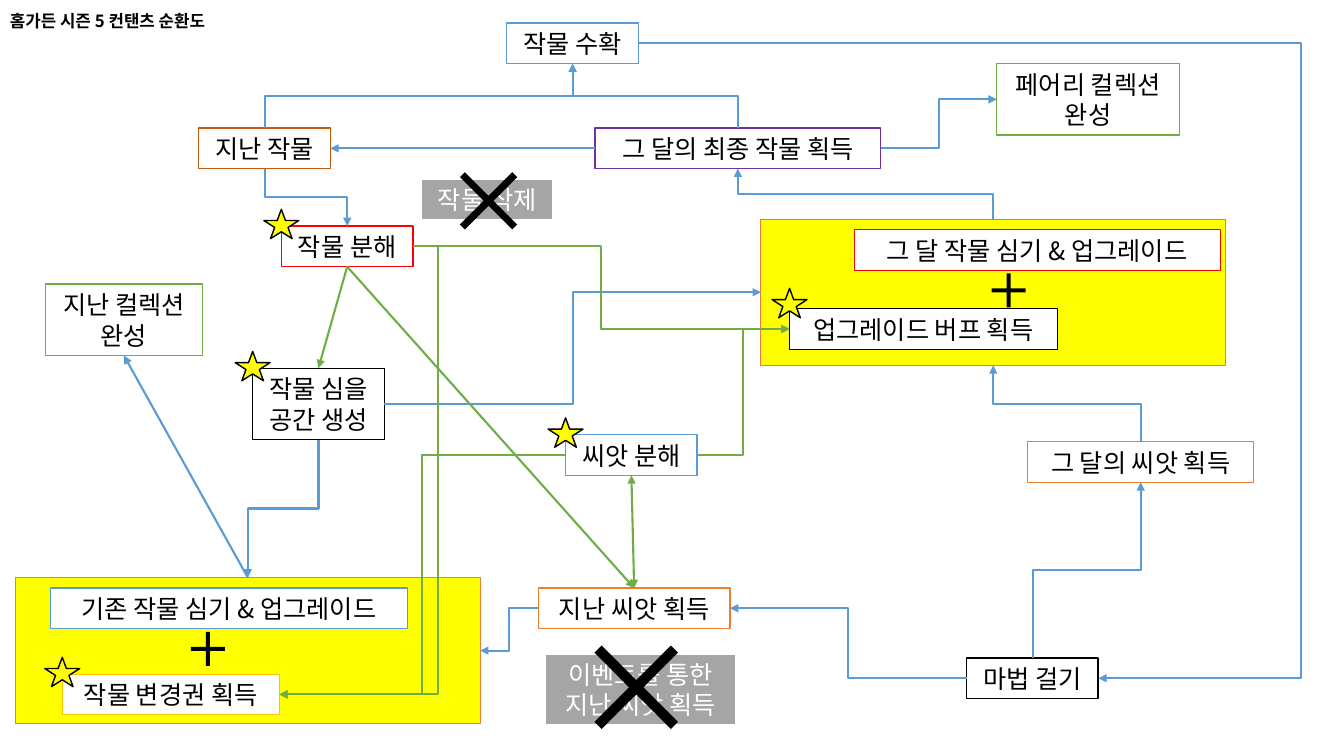
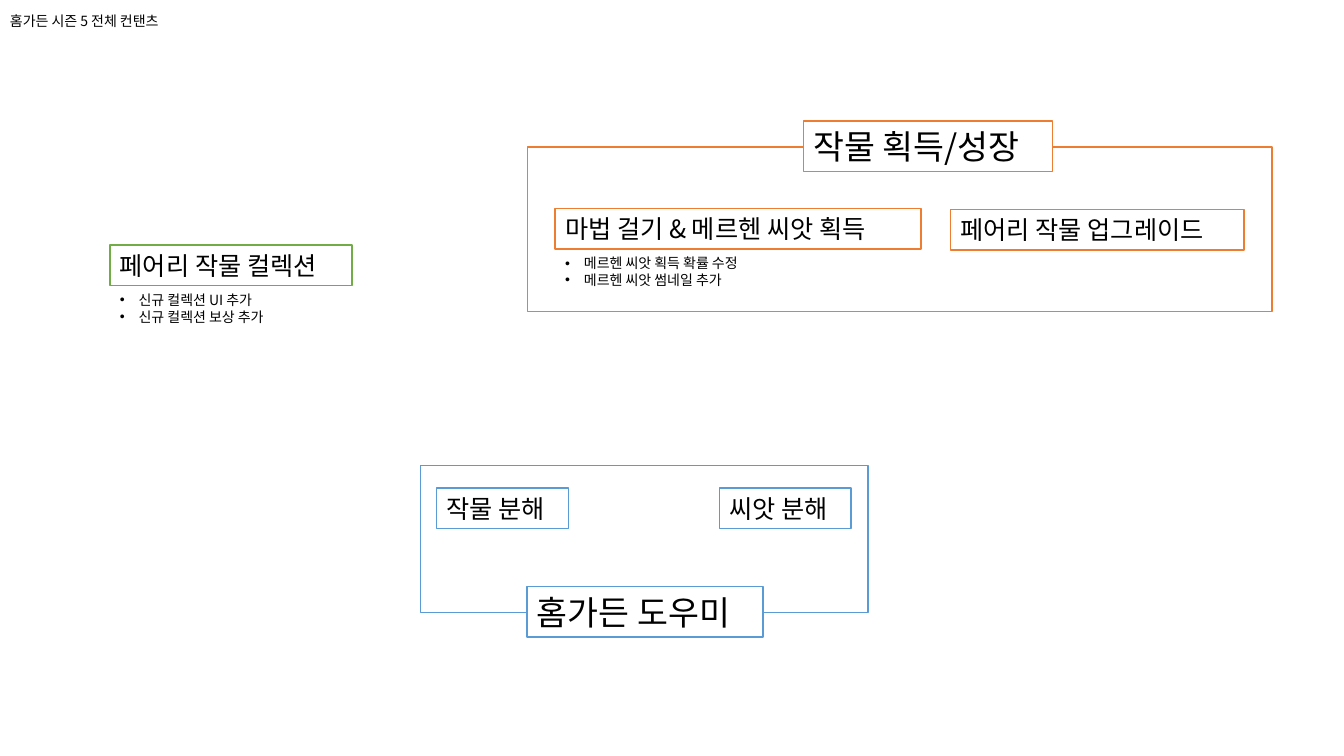
from lxml.etree import SubElement
from pptx import Presentation
from pptx.dml.color import RGBColor
from pptx.enum.shapes import MSO_CONNECTOR, MSO_SHAPE
from pptx.enum.text import MSO_ANCHOR, PP_ALIGN
from pptx.oxml.ns import qn
from pptx.util import Pt

FONT = "Noto Sans CJK KR"
BLACK = RGBColor(0x00, 0x00, 0x00)
WHITE = RGBColor(0xFF, 0xFF, 0xFF)
GREY = RGBColor(0xA5, 0xA5, 0xA5)
YELLOW = RGBColor(0xFF, 0xFF, 0x00)
GOLD = RGBColor(0xFF, 0xC0, 0x00)
ORANGE = RGBColor(0xED, 0x7D, 0x31)
BROWN = RGBColor(0xC5, 0x5A, 0x11)
RED = RGBColor(0xFF, 0x00, 0x00)
PURPLE = RGBColor(0x70, 0x30, 0xA0)
BLUE = RGBColor(0x5B, 0x9B, 0xD5)
GREEN = RGBColor(0x70, 0xAD, 0x47)

# Connection sites of a rectangle
TOP, LEFT, BOTTOM, RIGHT = range(4)

ONE_LINE, TWO_LINES, HEADING = 29, 51, 36
GARDEN_SIZE = (332, 104.5)


def style_text(frame, size, color=BLACK, bold=False, align=PP_ALIGN.LEFT):
    for paragraph in frame.paragraphs:
        paragraph.alignment = align
        for run in paragraph.runs:
            run.font.name = FONT
            run.font.size = Pt(size)
            run.font.bold = bold
            run.font.color.rgb = color
            SubElement(run.font._element, qn("a:ea")).set("typeface", FONT)


def add_title(slide, text, size, bold=False):
    title = slide.shapes.add_textbox(Pt(0), Pt(0), Pt(960), Pt(31))
    frame = title.text_frame
    frame.word_wrap = True
    frame.vertical_anchor = MSO_ANCHOR.MIDDLE
    frame.text = text
    frame.paragraphs[0].line_spacing = 0.9
    style_text(frame, size, bold=bold)


def add_figure(slide, preset, left, top, width, height,
               fill=None, line=None, line_width=1):
    """Add a preset shape; without a colour, its fill or line is left off."""
    figure = slide.shapes.add_shape(
        preset, Pt(left), Pt(top), Pt(width), Pt(height))
    figure.shadow.inherit = False
    if fill is None:
        figure.fill.background()
    else:
        figure.fill.solid()
        figure.fill.fore_color.rgb = fill
    if line is None:
        figure.line.fill.background()
    else:
        figure.line.color.rgb = line
        figure.line.width = Pt(line_width)
    return figure


def add_box(slide, text, left, top, width, line, line_width=1, fill=WHITE,
            color=BLACK, size=18, height=None, align=PP_ALIGN.CENTER):
    if height is None:
        height = TWO_LINES if "\n" in text else ONE_LINE
    box = add_figure(slide, MSO_SHAPE.RECTANGLE, left, top, width, height,
                     fill, line, line_width)
    frame = box.text_frame
    frame.text = text
    frame.vertical_anchor = MSO_ANCHOR.MIDDLE
    frame.margin_top = frame.margin_bottom = 0
    frame.word_wrap = align == PP_ALIGN.LEFT
    if align == PP_ALIGN.LEFT:
        frame.margin_right = 0
    style_text(frame, size, color, align=align)
    return box


def add_starred_box(slide, text, left, top, width, line, line_width=1, rise=12):
    """Add a box for new content, marked by a star on its top left corner."""
    box = add_box(slide, text, left, top, width, line, line_width)
    add_figure(slide, MSO_SHAPE.STAR_5_POINT, left - 12.5, top - rise, 25, 21,
               YELLOW, BLACK)
    return box


def add_sign(slide, preset, left, top, size, thickness):
    sign = add_figure(slide, preset, left, top, size, size, BLACK)
    sign.adjustments[0] = thickness


def add_removed_box(slide, text, left, top, width, cross):
    """Add a grey box crossed out by a sign at cross = (left, top, size)."""
    add_box(slide, text, left, top, width, WHITE, 1.5, GREY, WHITE)
    add_sign(slide, MSO_SHAPE.MATH_MULTIPLY, *cross, 0.069)


def add_garden(slide, left, top):
    return add_figure(slide, MSO_SHAPE.RECTANGLE, left, top, *GARDEN_SIZE,
                      YELLOW, ORANGE, 0.5)


def turn_upright(connector):
    """Turn an elbow so that it leaves its start vertically."""
    dx = connector.end_x - connector.begin_x
    dy = connector.end_y - connector.begin_y
    center_x = (connector.begin_x + connector.end_x) // 2
    center_y = (connector.begin_y + connector.end_y) // 2
    connector.width, connector.height = abs(dy), abs(dx)
    connector.left = center_x - abs(dy) // 2
    connector.top = center_y - abs(dx) // 2
    xfrm = connector._element.spPr.find(qn("a:xfrm"))
    xfrm.set("rot", str((270 if dx * dy > 0 else 90) * 60000))
    xfrm.set("flipH", str(int(dx > 0)))
    xfrm.set("flipV", str(int(dy < 0)))


def add_link(slide, start, start_site, end, end_site, color=BLUE,
             straight=False, both_ends=False, bend=None):
    kind = MSO_CONNECTOR.STRAIGHT if straight else MSO_CONNECTOR.ELBOW
    link = slide.shapes.add_connector(kind, 0, 0, 0, 0)
    link.begin_connect(start, start_site)
    link.end_connect(end, end_site)
    if not straight and start_site in (TOP, BOTTOM):
        turn_upright(link)
    properties = link._element.spPr
    if bend is not None:
        guides = properties.find(qn("a:prstGeom")).find(qn("a:avLst"))
        guide = SubElement(guides, qn("a:gd"))
        guide.set("name", "adj1")
        guide.set("fmla", f"val {round(bend * 100000)}")
    link.line.color.rgb = color
    link.line.width = Pt(1.5)
    outline = properties.find(qn("a:ln"))
    for arrow in ("a:headEnd", "a:tailEnd") if both_ends else ("a:tailEnd",):
        SubElement(outline, qn(arrow)).set("type", "triangle")
    SubElement(properties, qn("a:effectLst"))


def add_bullets(slide, text, left, top, width):
    bullets = slide.shapes.add_textbox(Pt(left), Pt(top), Pt(width), Pt(31.5))
    frame = bullets.text_frame
    frame.word_wrap = True
    frame.text = text
    for paragraph in frame.paragraphs:
        properties = paragraph._p.get_or_add_pPr()
        properties.set("marL", str(Pt(13.5)))
        properties.set("indent", str(-Pt(13.5)))
        SubElement(properties, qn("a:buFont")).set("typeface", "Arial")
        SubElement(properties, qn("a:buChar")).set("char", "•")
    style_text(frame, 10)


def build_cycle(slide):
    add_title(slide, "홈가든 시즌 5 컨탠츠 순환도", 12, bold=True)

    magic = add_box(slide, "마법 걸기", 690.5, 470, 94, BLACK)
    fairy_collection = add_box(slide, "페어리 컬렉션\n완성", 712, 45.5, 130.5, GREEN)
    past_collection = add_box(slide, "지난 컬렉션\n완성", 32.5, 203, 112, GREEN)
    final_crop = add_box(slide, "그 달의 최종 작물 획득", 425, 91.5, 204, PURPLE)
    past_seed = add_box(slide, "지난 씨앗 획득", 384.5, 420, 137, ORANGE)
    month_seed = add_box(slide, "그 달의 씨앗 획득", 734, 315.5, 161.5, ORANGE)
    past_crop = add_box(slide, "지난 작물", 142, 91.5, 94, BROWN)
    harvest = add_box(slide, "작물 수확", 362, 16.5, 94, BLUE)
    space = add_starred_box(slide, "작물 심을\n공간 생성", 180.5, 263, 94, BLACK)
    crop_split = add_starred_box(slide, "작물 분해", 201, 161.5, 94, RED)
    seed_split = add_starred_box(slide, "씨앗 분해", 404, 310.5, 94, BLUE)

    month_garden = add_garden(slide, 543.5, 156.5)
    add_box(slide, "그 달 작물 심기 & 업그레이드", 610, 164, 261.5, RED, 0.5)
    buff = add_starred_box(slide, "업그레이드 버프 획득", 564, 220.5, 191, BLACK,
                           0.5, rise=14.5)
    past_garden = add_garden(slide, 11, 412.5)
    add_box(slide, "기존 작물 심기 & 업그레이드", 36, 420, 255, BLUE)
    change_ticket = add_starred_box(slide, "작물 변경권 획득", 44.5, 481.5, 155,
                                    GOLD, 0.5)
    for left, top in ((704, 191), (132, 447)):
        add_sign(slide, MSO_SHAPE.MATH_PLUS, left, top, 33, 0.089)

    add_removed_box(slide, "작물 삭제", 301, 128, 94, (313, 107.5, 72))
    add_removed_box(slide, "이벤트를 통한\n지난 씨앗 획득", 389, 467, 137,
                    (402, 438.5, 105))

    add_link(slide, harvest, RIGHT, magic, RIGHT, bend=1.44)
    add_link(slide, final_crop, LEFT, past_crop, RIGHT, straight=True)
    add_link(slide, past_garden, TOP, past_collection, BOTTOM, straight=True)
    for start, start_site, end, end_site in (
        (final_crop, TOP, harvest, BOTTOM),
        (past_crop, TOP, harvest, BOTTOM),
        (past_crop, BOTTOM, crop_split, TOP),
        (magic, TOP, month_seed, BOTTOM),
        (final_crop, RIGHT, fairy_collection, LEFT),
        (magic, LEFT, past_seed, RIGHT),
        (space, BOTTOM, past_garden, TOP),
        (space, RIGHT, month_garden, LEFT),
        (month_seed, TOP, month_garden, BOTTOM),
        (past_seed, LEFT, past_garden, RIGHT),
        (month_garden, TOP, final_crop, BOTTOM),
    ):
        add_link(slide, start, start_site, end, end_site)

    add_link(slide, seed_split, RIGHT, buff, LEFT, GREEN)
    add_link(slide, crop_split, RIGHT, buff, LEFT, GREEN)
    add_link(slide, seed_split, LEFT, change_ticket, RIGHT, GREEN)
    add_link(slide, crop_split, RIGHT, change_ticket, RIGHT, GREEN, bend=-0.19)
    add_link(slide, seed_split, BOTTOM, past_seed, TOP, GREEN,
             straight=True, both_ends=True)
    for end in (past_seed, space):
        add_link(slide, crop_split, BOTTOM, end, TOP, GREEN, straight=True)


def build_overview(slide):
    add_title(slide, "홈가든 시즌 5 전체 컨탠츠", 10)

    for left, top, width, height, color in (
        (377, 105, 531.5, 117.5, ORANGE),
        (300.5, 332.5, 319.5, 105, BLUE),
    ):
        add_figure(slide, MSO_SHAPE.RECTANGLE, left, top, width, height, line=color)

    for text, left, top, width, color in (
        ("작물 획득/성장", 574, 86.5, 178, ORANGE),
        ("홈가든 도우미", 376.5, 419, 168.5, BLUE),
    ):
        add_box(slide, text, left, top, width, color, size=24, height=HEADING,
                align=PP_ALIGN.LEFT)

    for text, left, top, width, color in (
        ("페어리 작물 업그레이드", 679, 149.5, 209.5, ORANGE),
        ("마법 걸기 & 메르헨 씨앗 획득", 396.5, 149, 261.5, ORANGE),
        ("씨앗 분해", 514, 348.5, 94, BLUE),
        ("작물 분해", 312, 348.5, 94, BLUE),
        ("페어리 작물 컬렉션", 78.5, 175, 173, GREEN),
    ):
        add_box(slide, text, left, top, width, color, align=PP_ALIGN.LEFT)

    add_bullets(slide, "신규 컬렉션 UI 추가\n신규 컬렉션 보상 추가", 78.5, 204.5, 130)
    add_bullets(slide, "메르헨 씨앗 획득 확률 수정\n메르헨 씨앗 썸네일 추가",
                396.5, 178.5, 153.5)


def main():
    presentation = Presentation()
    presentation.slide_width = Pt(960)
    presentation.slide_height = Pt(540)
    blank = presentation.slide_layouts[6]
    for build in (build_cycle, build_overview):
        build(presentation.slides.add_slide(blank))
    presentation.save("out.pptx")


if __name__ == "__main__":
    main()
